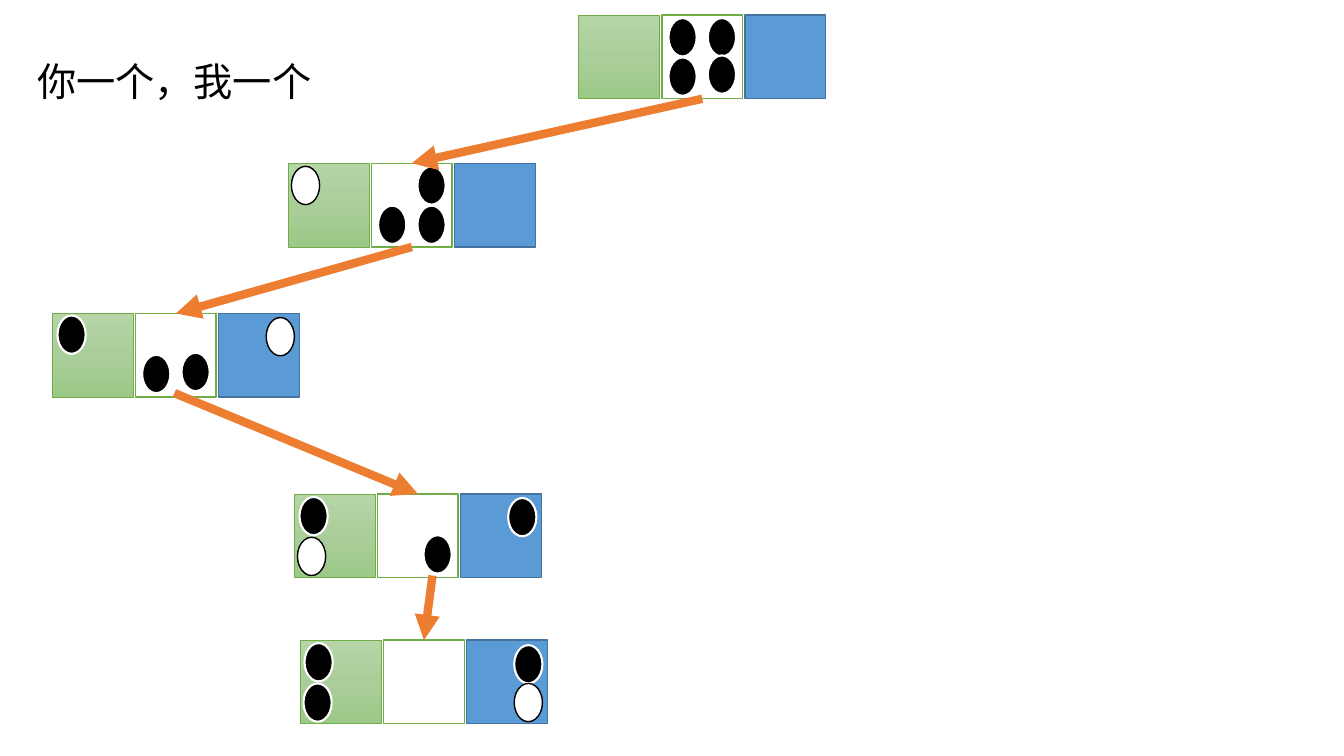
from copy import deepcopy

from pptx import Presentation
from pptx.dml.color import RGBColor
from pptx.enum.shapes import MSO_CONNECTOR as Connector, MSO_SHAPE as Shape
from pptx.enum.text import MSO_ANCHOR as Anchor
from pptx.oxml.ns import qn
from pptx.util import Inches, Pt

BLACK = RGBColor(0x00, 0x00, 0x00)
WHITE = RGBColor(0xFF, 0xFF, 0xFF)
GREEN = RGBColor(0x70, 0xAD, 0x47)
BLUE = RGBColor(0x5B, 0x9B, 0xD5)
DARK_BLUE = RGBColor(0x43, 0x73, 0x9E)
ORANGE = RGBColor(0xED, 0x7D, 0x31)
GREEN_FADE = [
    (0, RGBColor(0xB5, 0xD5, 0xA7)),
    (0.5, RGBColor(0xAA, 0xCE, 0x9A)),
    (1, RGBColor(0x9C, 0xC9, 0x87)),
]

CELL_WIDTH, CELL_HEIGHT = 0.8, 0.83
CELL_PITCH = 1.65 / 2
STONE_WIDTH, STONE_HEIGHT = 0.28, 0.38
TOP, BOTTOM = 0, 2

# Each step: left, top, old stones and newly dealt stones, as offsets in the row.
STEPS = [
    (5.74, 0.15, [(0.89, 0.03), (1.28, 0.03), (0.89, 0.42), (1.28, 0.4)], []),
    (2.86, 1.62, [(1.28, 0.03), (0.89, 0.42), (1.28, 0.42)], [(0.03, 0.03)]),
    (0.52, 3.11, [(0.05, 0.02), (0.89, 0.41), (1.28, 0.39)], [(2.12, 0.04)]),
    (2.92, 4.9, [(0.05, 0.03), (2.12, 0.04), (1.28, 0.41)], [(0.03, 0.43)]),
    (2.98, 6.35, [(0.04, 0.03), (2.12, 0.05), (0.03, 0.43)], [(2.12, 0.43)]),
]
FREE_STARTS = {2: (1.73, 3.9), 3: (4.29, 5.71)}


def add_outlined(slide, kind, left, top, width, height, line, line_width, fill=None):
    """Add a shape with an outline and, when given, a solid fill."""
    shape = slide.shapes.add_shape(
        kind, Inches(left), Inches(top), Inches(width), Inches(height))
    shape.shadow.inherit = False
    shape.line.color.rgb = line
    shape.line.width = Pt(line_width)
    if fill is not None:
        shape.fill.solid()
        shape.fill.fore_color.rgb = fill
    return shape


def fade_green(cell):
    """Fill a cell with the downward three-stop green gradient."""
    cell.fill.gradient()
    cell.fill.gradient_angle = 270
    stop_list = next(cell._element.spPr.iter(qn("a:gsLst")))
    stop_list.append(deepcopy(stop_list[-1]))
    for stop, (position, color) in zip(cell.fill.gradient_stops, GREEN_FADE):
        stop.position = position
        stop.color.rgb = color


def add_step(slide, left, top, old_stones, new_stones):
    """Draw one row of three cells with its stones and return the middle cell."""
    def add_cell(column, line, line_width, fill=None):
        return add_outlined(slide, Shape.RECTANGLE, left + column * CELL_PITCH, top,
                            CELL_WIDTH, CELL_HEIGHT, line, line_width, fill)

    pile = add_cell(1, GREEN, 1, WHITE)
    fade_green(add_cell(0, GREEN, 0.5))
    add_cell(2, DARK_BLUE, 1, BLUE)
    for stones, fill, line, line_width in (
            (old_stones, BLACK, WHITE, 1.5), (new_stones, WHITE, BLACK, 1)):
        for x, y in stones:
            add_outlined(slide, Shape.OVAL, left + x, top + y,
                         STONE_WIDTH, STONE_HEIGHT, line, line_width, fill)
    return pile


def add_arrow(slide, source, target, free_start=None):
    """Draw an orange arrow from one pile, or a free point, to the next pile."""
    x, y = free_start or (0, 0)
    arrow = slide.shapes.add_connector(
        Connector.STRAIGHT, Inches(x), Inches(y), Inches(x), Inches(y))
    if free_start is None:
        arrow.begin_connect(source, BOTTOM)
    arrow.end_connect(target, TOP)
    arrow.line.color.rgb = ORANGE
    arrow.line.width = Pt(6)
    line = arrow.line._get_or_add_ln()
    line.append(line.makeelement(qn("a:tailEnd"), {"type": "triangle"}))
    properties = arrow._element.spPr
    properties.append(properties.makeelement(qn("a:effectLst"), {}))


def add_title(slide, left, top, width, height):
    """Write the slide title, centred vertically in its box."""
    title = slide.shapes.add_textbox(
        Inches(left), Inches(top), Inches(width), Inches(height)).text_frame
    title.word_wrap = True
    title.vertical_anchor = Anchor.MIDDLE
    paragraph = title.paragraphs[0]
    paragraph.text = "你一个，我一个"
    paragraph.line_spacing = 0.9
    paragraph.font.size = Pt(28)
    paragraph.font.name = "Calibri"
    paragraph.font.color.rgb = BLACK


def main():
    """Build the slide that deals stones in turn and save it."""
    deck = Presentation()
    deck.slide_width, deck.slide_height = Inches(13.33), Inches(7.5)
    slide = deck.slides.add_slide(deck.slide_layouts[6])
    add_title(slide, 0.27, 0.11, 3.96, 1.45)
    piles = [add_step(slide, *step) for step in STEPS]
    for index, (source, target) in enumerate(zip(piles, piles[1:])):
        add_arrow(slide, source, target, FREE_STARTS.get(index))
    deck.save("out.pptx")


if __name__ == "__main__":
    main()
